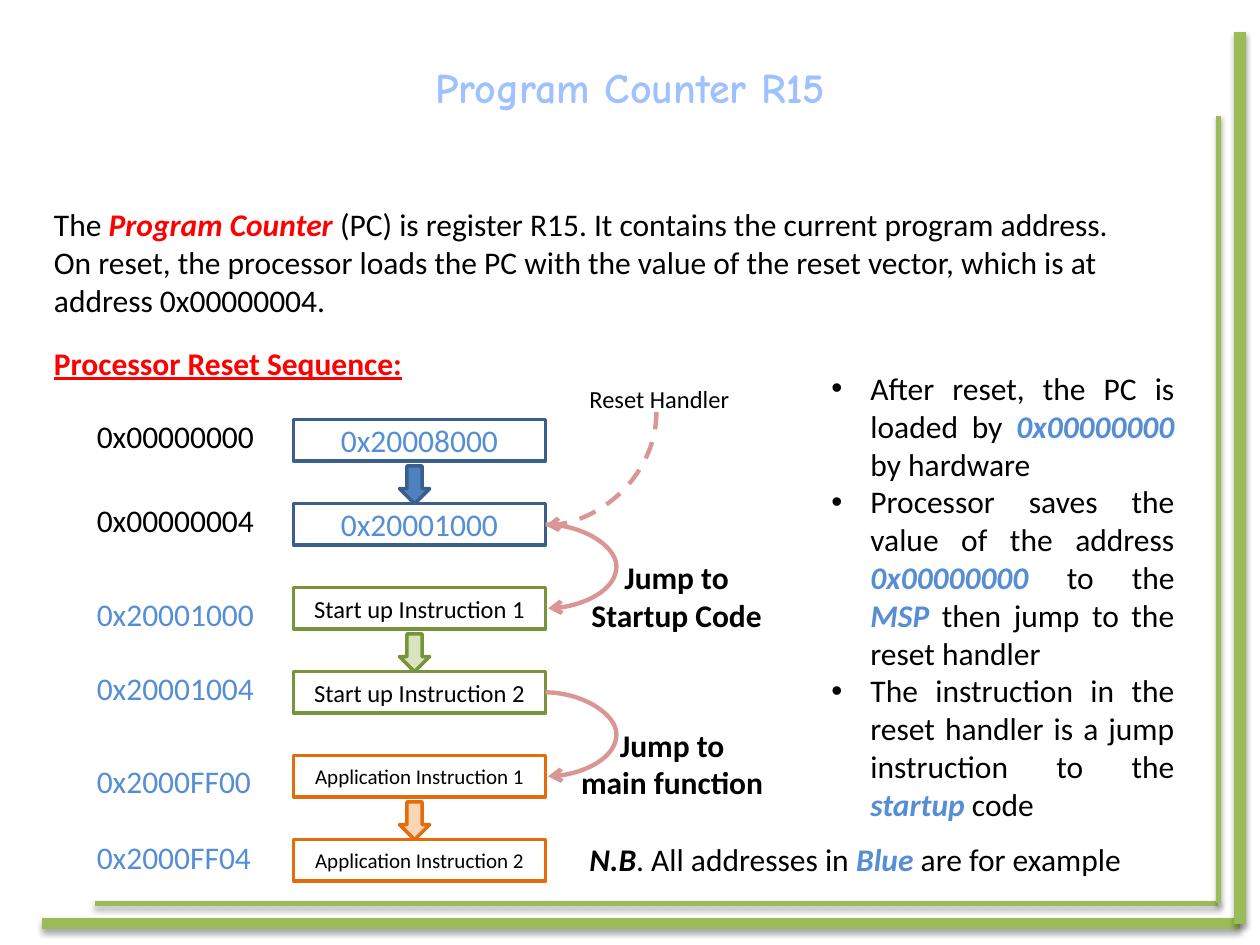
from lxml import etree
from pptx import Presentation
from pptx import util as u
from pptx.dml.color import RGBColor
from pptx.enum import dml, shapes, text
from pptx.oxml import ns

BLACK = RGBColor(0x00, 0x00, 0x00)
RED = RGBColor(0xFF, 0x00, 0x00)
BLUE = RGBColor(0x55, 0x8E, 0xD5)
TITLE_BLUE = RGBColor(0xA0, 0xC1, 0xFF)
FRAME_GREEN = RGBColor(0x9B, 0xBB, 0x59)
JUMP_PINK = RGBColor(0xD9, 0x96, 0x94)

LEFT, CENTER, JUSTIFY = text.PP_ALIGN.LEFT, text.PP_ALIGN.CENTER, text.PP_ALIGN.JUSTIFY

PLAIN, BOLD = (BLACK, ""), (BLACK, "b")
TERM, HEADING, EXAMPLE = (RED, "bi"), (RED, "bu"), (BLUE, "bi")
BREAK = "\n"

TITLE = [[("Program Counter R15", (TITLE_BLUE, "b"))]]
INTRO = [[
    ("The\u00a0", PLAIN),
    ("Program Counter", TERM),
    ("\u00a0(PC) is register R15. It contains the current program address. "
     "On reset, the processor loads the PC with the value of the reset vector, "
     "which is at address\u00a00x00000004.", PLAIN),
]]
SEQUENCE = [[("Processor Reset Sequence:", HEADING)]]
STARTUP_JUMP = [[("Jump to", BOLD), (BREAK, BOLD), ("Startup Code", BOLD)]]
MAIN_JUMP = [[("Jump to", BOLD), (BREAK, BOLD), ("main function", BOLD)]]
NOTE = [[("N.B", (BLACK, "bi")), (". All addresses in ", PLAIN),
         ("Blue", EXAMPLE), (" are for example", PLAIN)]]
HANDLER = [[("Reset Handler", PLAIN)]]
STEPS = [
    [("After reset, the PC is loaded by ", PLAIN), ("0x00000000", EXAMPLE),
     (" by hardware", PLAIN)],
    [("Processor saves the value of the address ", PLAIN), ("0x00000000", EXAMPLE),
     (" to the ", PLAIN), ("MSP", EXAMPLE), (" then jump to the reset handler", PLAIN)],
    [("The instruction in the reset handler is a jump instruction to the ", PLAIN),
     ("startup", EXAMPLE), (" code", PLAIN)],
]

TEXT_BOXES = [
    (INTRO, (0.33, 1.58, 8.83, 1.01), 18, LEFT),
    (SEQUENCE, (0.33, 2.68, 3, 0.4), 18, LEFT),
    (STARTUP_JUMP, (4.58, 4.38, 1.58, 0.71), 18, CENTER),
    (MAIN_JUMP, (4.5, 5.71, 1.67, 0.71), 18, CENTER),
    (NOTE, (4.58, 6.62, 4.58, 0.42), 18, LEFT),
    (HANDLER, (4.58, 3, 1.4, 0.34), 14, LEFT),
]

MEMORY_GROUPS = [
    (RGBColor(0x3A, 0x5F, 0x8C), RGBColor(0x4F, 0x81, 0xBD), BLUE, 18, BLACK,
     [("0x00000000", 3.26, "0x20008000"), ("0x00000004", 3.93, "0x20001000")]),
    (RGBColor(0x77, 0x93, 0x3C), RGBColor(0xD7, 0xE4, 0xBD), BLACK, 14, BLUE,
     [("0x20001000", 4.67, "Start up Instruction 1"),
      ("0x20001004", 5.26, "Start up Instruction 2")]),
    (RGBColor(0xE4, 0x6C, 0x0A), RGBColor(0xFC, 0xD5, 0xB5), BLACK, 12, BLUE,
     [("0x2000FF00", 6, "Application Instruction 1"),
      ("0x2000FF04", 6.6, "Application Instruction 2")]),
]
CELL_LEFT, CELL_TOP, CELL_WIDTH, CELL_HEIGHT = 2.33, 3.33, 2, 0.33
CELL_PITCH = 2 / 3
ARROW_WIDTH, ARROW_HEIGHT, ARROW_CENTER = 0.24, 0.3, 3.29

FRAME_LINES = [
    ((0.75, 7.17), (9.67, 7.17), 3),
    ((0.33, 7.33), (9.84, 7.33), 6.75),
    ((9.84, 7.33), (9.84, 0.25), 6.75),
    ((9.67, 7.17), (9.67, 0.92), 3),
]
JUMP_BULGE = 0.56
JUMP_STARTS = [1, 3]


def fill_text(shape, paragraphs, size, alignment, font="Calibri"):
    frame = shape.text_frame
    for index, runs in enumerate(paragraphs):
        paragraph = frame.add_paragraph() if index else frame.paragraphs[0]
        paragraph.alignment = alignment
        for content, (color, style) in runs:
            if content == BREAK:
                paragraph.add_line_break()
                continue
            run = paragraph.add_run()
            run.text = content
            run.font.name = font
            run.font.size = u.Pt(size)
            run.font.color.rgb = color
            run.font.bold = "b" in style
            run.font.italic = "i" in style
            run.font.underline = "u" in style


def add_text(slide, box, paragraphs, size, alignment, font="Calibri"):
    shape = slide.shapes.add_textbox(*map(u.Inches, box))
    shape.text_frame.word_wrap = True
    fill_text(shape, paragraphs, size, alignment, font)
    return shape


def add_box(slide, kind, box, line_color, fill_color=None):
    shape = slide.shapes.add_shape(kind, *map(u.Inches, box))
    shape.shadow.inherit = False
    if fill_color is None:
        shape.fill.background()
    else:
        shape.fill.solid()
        shape.fill.fore_color.rgb = fill_color
    shape.line.color.rgb = line_color
    shape.line.width = u.Pt(2)
    return shape


def add_line(slide, kind, start, end, color, width):
    line = slide.shapes.add_connector(kind, *map(u.Inches, start + end))
    line.line.color.rgb = color
    line.line.width = u.Pt(width)
    effects = etree.SubElement(line._element.spPr, ns.qn("a:effectLst"))
    return line, effects


def add_frame_line(slide, start, end, width):
    effects = add_line(slide, shapes.MSO_CONNECTOR.STRAIGHT, start, end, FRAME_GREEN, width)[1]
    shadow = etree.SubElement(effects, ns.qn("a:outerShdw"), blurRad=str(u.Pt(3.1)),
                              dist=str(u.Pt(1.8)), dir="5400000", rotWithShape="0")
    color = etree.SubElement(shadow, ns.qn("a:srgbClr"), val="000000")
    etree.SubElement(color, ns.qn("a:alpha"), val="35000")


def add_curve(slide, start, end):
    line = add_line(slide, shapes.MSO_CONNECTOR.CURVE, start, end, JUMP_PINK, 2.5)[0]
    etree.SubElement(line.line._get_or_add_ln(), ns.qn("a:tailEnd"), type="arrow")
    return line, line._element.spPr.find(ns.qn("a:prstGeom"))


def add_jump(slide, top):
    left, right = CELL_LEFT + CELL_WIDTH, CELL_LEFT + CELL_WIDTH + 0.02
    geometry = add_curve(slide, (left, top), (right, top + CELL_PITCH))[1]
    guides = geometry.find(ns.qn("a:avLst"))
    ratio = round(JUMP_BULGE / (right - left) * 100000)
    etree.SubElement(guides, ns.qn("a:gd"), name="adj1", fmla=f"val {ratio}")


def add_handler_curve(slide):
    line, geometry = add_curve(slide, (4.32, 3.28), (5.22, 4.16))
    geometry.set("prst", "curvedConnector2")
    line._element.spPr.find(ns.qn("a:xfrm")).set("rot", "5400000")
    line.line.dash_style = dml.MSO_LINE.DASH


def add_memory(slide):
    row = 0
    for line_color, arrow_color, value_color, size, address_color, cells in MEMORY_GROUPS:
        arrow_middle = CELL_TOP + row * CELL_PITCH + (CELL_PITCH + CELL_HEIGHT) / 2 + 0.02
        for address, address_top, value in cells:
            box = (CELL_LEFT, CELL_TOP + row * CELL_PITCH, CELL_WIDTH, CELL_HEIGHT)
            cell = add_box(slide, shapes.MSO_SHAPE.RECTANGLE, box, line_color)
            cell.text_frame.vertical_anchor = text.MSO_ANCHOR.MIDDLE
            fill_text(cell, [[(value, (value_color, ""))]], size, CENTER)
            add_text(slide, (0.67, address_top, 1.5, 0.4),
                     [[(address, (address_color, ""))]], 18, LEFT)
            row += 1
        add_box(slide, shapes.MSO_SHAPE.DOWN_ARROW,
                (ARROW_CENTER - ARROW_WIDTH / 2, arrow_middle - ARROW_HEIGHT / 2,
                 ARROW_WIDTH, ARROW_HEIGHT), line_color, arrow_color)


def add_steps(slide):
    shape = add_text(slide, (6.5, 2.88, 2.92, 3.74), STEPS, 18, JUSTIFY)
    for paragraph in shape.text_frame.paragraphs:
        properties = paragraph._p.get_or_add_pPr()
        properties.set("marL", str(u.Inches(0.31)))
        properties.set("indent", str(-u.Inches(0.31)))
        etree.SubElement(properties, ns.qn("a:buFont"), typeface="Arial")
        etree.SubElement(properties, ns.qn("a:buChar"), char="•")


def main():
    presentation = Presentation()
    presentation.slide_width, presentation.slide_height = u.Inches(10), u.Inches(7.5)
    slide = presentation.slides.add_slide(presentation.slide_layouts[6])
    for start, end, width in FRAME_LINES:
        add_frame_line(slide, start, end, width)
    title = add_text(slide, (3.34, 0.44, 3.32, 0.5), TITLE, 24, CENTER, "Comic Neue")
    title.text_frame.word_wrap = False
    add_memory(slide)
    for row in JUMP_STARTS:
        add_jump(slide, CELL_TOP + row * CELL_PITCH + CELL_HEIGHT / 2)
    for paragraphs, box, size, alignment in TEXT_BOXES:
        add_text(slide, box, paragraphs, size, alignment)
    add_steps(slide)
    add_handler_curve(slide)
    presentation.save("out.pptx")


if __name__ == "__main__":
    main()
